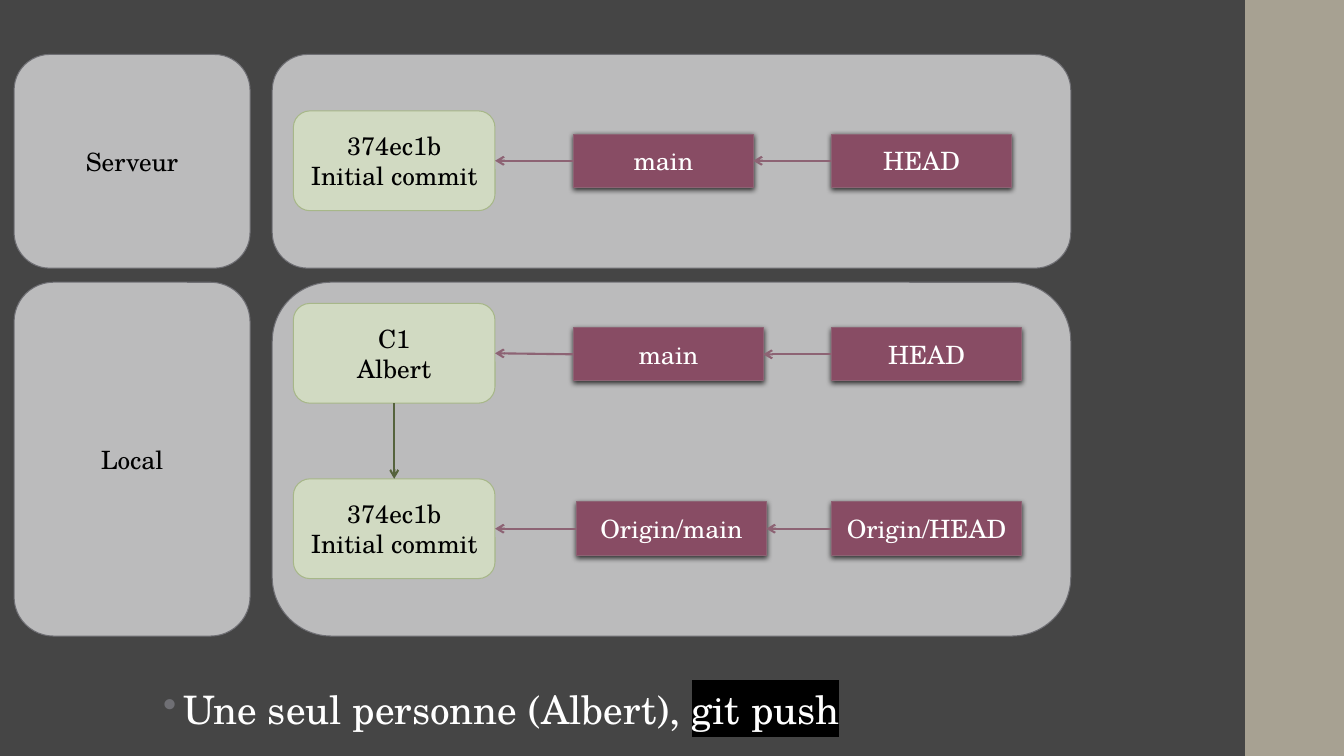
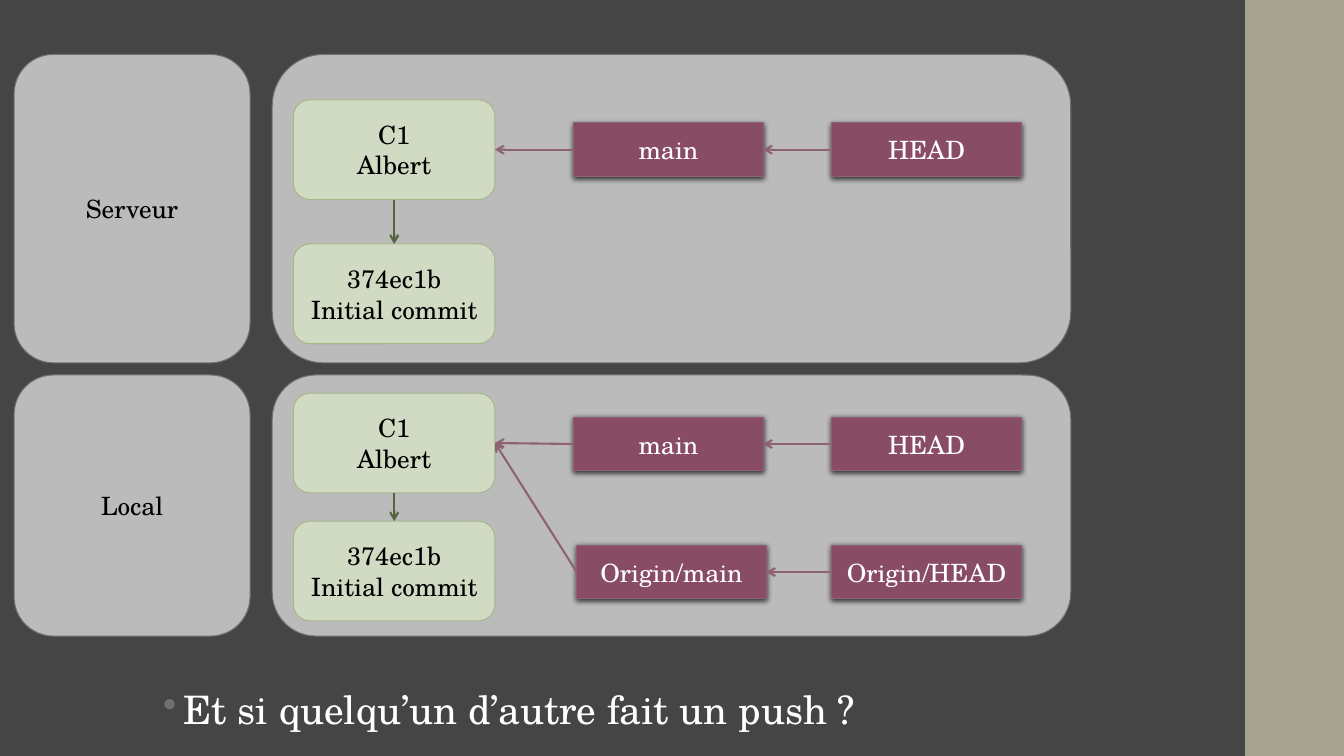
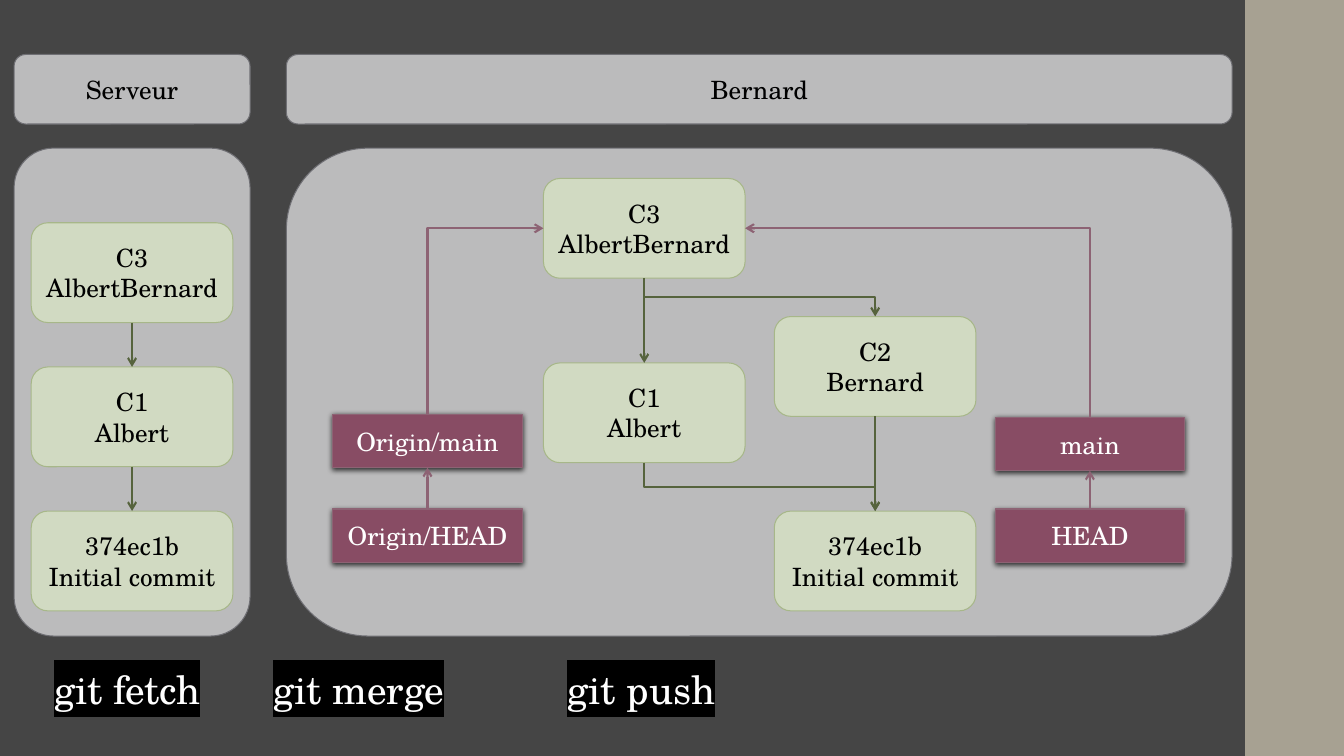
from lxml.etree import SubElement
from pptx import Presentation
from pptx.dml.color import RGBColor
from pptx.enum.shapes import MSO_CONNECTOR, MSO_SHAPE
from pptx.enum.text import MSO_ANCHOR, PP_ALIGN
from pptx.oxml import parse_xml
from pptx.oxml.ns import nsdecls, qn
from pptx.util import Inches, Pt

FONT = "TeX Gyre Schola"
BACKGROUND, BAND = "454545", "A7A192"
PANEL, PANEL_EDGE = "BBBBBC", "6F6F74"
COMMIT, COMMIT_EDGE, COMMIT_ARROW = "D1DAC2", "A7B789", "56633D"
REFERENCE, REFERENCE_EDGE = "884C64", "8D6374"
BLACK, WHITE = "000000", "FFFFFF"

TOP, LEFT, RIGHT, BOTTOM = 0, 1, 2, 3
TOP, LEFT, BOTTOM, RIGHT = range(4)  # connection sites, counter-clockwise

INITIAL = ["374ec1b", "Initial commit"]
C1 = ["C1", "Albert"]
C2 = ["C2", "Bernard"]
C3 = ["C3", "AlbertBernard"]
SERVER = "Serveur"

SIDE_LEFT, SIDE_WIDTH = 0.14, 2.34
PANEL_TOP, PANEL_BOTTOM = 0.54, 6.31
COMMIT_WIDTH, COMMIT_HEIGHT = 2, 0.99
REFERENCE_WIDTH, REFERENCE_HEIGHT = 1.88, 0.53
MAIN_LEFT, ORIGIN_LEFT, HEAD_LEFT = 5.69, 5.72, 8.25


def color(value):
    return RGBColor.from_string(value)


def side_point(shape, side):
    """Middle of one side of a shape."""
    across = {LEFT: 0, RIGHT: 2}.get(side, 1)
    down = {TOP: 0, BOTTOM: 2}.get(side, 1)
    return (shape.left + shape.width * across // 2,
            shape.top + shape.height * down // 2)


class Deck:
    def __init__(self):
        self.presentation = Presentation()
        self.presentation.slide_width = Inches(13.33)
        self.presentation.slide_height = Inches(7.5)
        self.slide = None

    def new_slide(self):
        layout = self.presentation.slide_layouts[6]
        self.slide = self.presentation.slides.add_slide(layout)
        fill = self.slide.background.fill
        fill.solid()
        fill.fore_color.rgb = color(BACKGROUND)
        self.box(MSO_SHAPE.RECTANGLE, (12.35, 0, 0.98, 7.5), BAND)

    # Text
    def add_run(self, paragraph, text, size, ink, highlight=None):
        run = paragraph.add_run()
        run.text = text
        run.font.size = Pt(size)
        run.font.name = FONT
        run.font.color.rgb = color(ink)
        if highlight:
            fill = run.font._element.find(qn("a:solidFill"))
            fill.addnext(parse_xml(
                f'<a:highlight {nsdecls("a")}>'
                f'<a:srgbClr val="{highlight}"/></a:highlight>'))

    def caption(self, left, top, width, runs, indent=0.3, bullet=False):
        """Large text; runs are (text, highlighted) pairs."""
        shape = self.slide.shapes.add_textbox(
            Inches(left), Inches(top), Inches(width), Inches(0.7))
        shape.text_frame.word_wrap = True
        paragraph = shape.text_frame.paragraphs[0]
        paragraph.line_spacing = 0.9
        paragraph.space_before = paragraph.space_after = Pt(3)
        properties = paragraph._p.get_or_add_pPr()
        properties.set("marL", str(Inches(indent)))
        properties.set("indent", str(Inches(-0.2 if bullet else 0)))
        if bullet:
            bullet_color = SubElement(properties, qn("a:buClr"))
            SubElement(bullet_color, qn("a:srgbClr"), val=PANEL_EDGE)
            SubElement(properties, qn("a:buChar"), char="•")
        for text, highlighted in runs:
            self.add_run(paragraph, text, 28, WHITE,
                         BLACK if highlighted else None)

    # Boxes
    def box(self, kind, place, fill, edge=None, lines=(), ink=BLACK):
        shape = self.slide.shapes.add_shape(kind, *map(Inches, place))
        shape.shadow.inherit = False
        shape.fill.solid()
        shape.fill.fore_color.rgb = color(fill)
        if edge:
            shape.line.color.rgb = color(edge)
            shape.line.width = Pt(0.75)
        else:
            shape.line.fill.background()
        frame = shape.text_frame
        frame.vertical_anchor = MSO_ANCHOR.MIDDLE
        for index, line in enumerate(lines):
            paragraph = frame.add_paragraph() if index else frame.paragraphs[0]
            paragraph.alignment = PP_ALIGN.CENTER
            self.add_run(paragraph, line, 18, ink)
        return shape

    def panel(self, left, top, width, bottom, *lines):
        return self.box(MSO_SHAPE.ROUNDED_RECTANGLE,
                        (left, top, width, bottom - top),
                        PANEL, PANEL_EDGE, lines)

    def commit(self, left, top, lines):
        return self.box(MSO_SHAPE.ROUNDED_RECTANGLE,
                        (left, top, COMMIT_WIDTH, COMMIT_HEIGHT),
                        COMMIT, COMMIT_EDGE, lines)

    def reference(self, left, top, name, width=REFERENCE_WIDTH):
        shape = self.box(MSO_SHAPE.RECTANGLE,
                         (left, top, width, REFERENCE_HEIGHT),
                         REFERENCE, REFERENCE_EDGE, [name], WHITE)
        effects = shape._element.spPr.find(qn("a:effectLst"))
        shadow = SubElement(effects, qn("a:outerShdw"), blurRad=str(Pt(4)),
                            dist=str(Pt(1.2)), dir="5400000", rotWithShape="0")
        shade = SubElement(shadow, qn("a:srgbClr"), val=BLACK)
        SubElement(shade, qn("a:alpha"), val="75000")
        return shape

    # Arrows
    def style_arrow(self, connector, ink):
        connector.line.color.rgb = color(ink)
        connector.line.width = Pt(1.5)
        SubElement(connector.line._get_or_add_ln(), qn("a:tailEnd"), type="arrow")
        SubElement(connector._element.spPr, qn("a:effectLst"))

    def arrow(self, source, source_side, target, target_side, ink):
        connector = self.slide.shapes.add_connector(
            MSO_CONNECTOR.STRAIGHT, 0, 0, 0, 0)
        connector.begin_connect(source, source_side)
        connector.end_connect(target, target_side)
        self.style_arrow(connector, ink)

    def elbow(self, source, source_side, target, target_side, ink):
        """Bent arrow that leaves vertically: a quarter-turned connector."""
        x1, y1 = side_point(source, source_side)
        x2, y2 = side_point(target, target_side)
        middle_x, middle_y = (x1 + x2) // 2, (y1 + y2) // 2
        half_x, half_y = (y1 - y2) // 2, (x2 - x1) // 2
        connector = self.slide.shapes.add_connector(
            MSO_CONNECTOR.ELBOW, middle_x - half_x, middle_y - half_y,
            middle_x + half_x, middle_y + half_y)
        connector.rotation = 270
        if target_side in (LEFT, RIGHT):
            geometry = connector._element.spPr.find(qn("a:prstGeom"))
            geometry.set("prst", "bentConnector2")
        self.style_arrow(connector, ink)

    # Groups
    def history(self, left, *commits):
        """Column of (top, lines) commits, newest first."""
        shapes = [self.commit(left, top, lines) for top, lines in commits]
        for child, parent in zip(shapes, shapes[1:]):
            self.arrow(child, BOTTOM, parent, TOP, COMMIT_ARROW)
        return shapes

    def reference_row(self, target, top, prefix="", width=REFERENCE_WIDTH):
        left = ORIGIN_LEFT if prefix else MAIN_LEFT
        main = self.reference(left, top, prefix + "main", width)
        head = self.reference(HEAD_LEFT, top, prefix + "HEAD", width)
        self.arrow(main, LEFT, target, RIGHT, REFERENCE_EDGE)
        self.arrow(head, LEFT, main, RIGHT, REFERENCE_EDGE)

    def reference_column(self, left, main_top, target, target_side, prefix=""):
        main = self.reference(left, main_top, prefix + "main")
        head = self.reference(left, 5.05, prefix + "HEAD")
        self.arrow(head, TOP, main, BOTTOM, REFERENCE_EDGE)
        self.elbow(main, TOP, target, target_side, REFERENCE_EDGE)

    def two_places(self, server_bottom, local_top):
        """Server above, local below: a name and an area for each."""
        for name, top, bottom in ((SERVER, PANEL_TOP, server_bottom),
                                  ("Local", local_top, PANEL_BOTTOM)):
            self.panel(SIDE_LEFT, top, SIDE_WIDTH, bottom, name)
            self.panel(2.7, top, 7.92, bottom)


def before_push(deck):
    deck.new_slide()
    deck.two_places(2.66, 2.8)
    [server_commit] = deck.history(2.91, (1.1, INITIAL))
    deck.reference_row(server_commit, 1.33, width=1.78)
    newest, initial = deck.history(2.91, (3.01, C1), (4.75, INITIAL))
    deck.reference_row(newest, 3.25)
    deck.reference_row(initial, 4.98, "Origin/")
    deck.caption(1.22, 6.8, 9.4, [("Une seul personne (Albert), ", False),
                                  ("git push", True)], 0.5, True)


def after_push(deck):
    deck.new_slide()
    deck.two_places(3.6, 3.72)
    server_newest, _ = deck.history(2.91, (0.99, C1), (2.42, INITIAL))
    deck.reference_row(server_newest, 1.22)
    newest, _ = deck.history(2.91, (3.9, C1), (5.17, INITIAL))
    deck.reference_row(newest, 4.14)
    deck.reference_row(newest, 5.41, "Origin/")
    deck.caption(1.22, 6.8, 9.4,
                 [("Et si quelqu’un d’autre fait un push ?", False)], 0.5, True)


def merge(deck):
    deck.new_slide()
    for name, left, width in ((SERVER, SIDE_LEFT, SIDE_WIDTH),
                              ("Bernard", 2.84, 9.38)):
        deck.panel(left, PANEL_TOP, width, 1.23, name)
        deck.panel(left, 1.47, width, PANEL_BOTTOM)
    deck.history(0.31, (2.21, C3), (3.64, C1), (5.07, INITIAL))
    merged, albert = deck.history(5.39, (1.77, C3), (3.6, C1))
    bernard, initial = deck.history(7.68, (3.14, C2), (5.07, INITIAL))
    deck.elbow(merged, BOTTOM, bernard, TOP, COMMIT_ARROW)
    deck.elbow(albert, BOTTOM, initial, TOP, COMMIT_ARROW)
    deck.reference_column(3.3, 4.11, merged, LEFT, "Origin/")
    deck.reference_column(9.87, 4.14, merged, RIGHT)
    for left, command in ((0.14, "fetch"), (2.31, "merge"), (5.23, "push")):
        deck.caption(left, 6.6, 2.34, [("git " + command, True)])


def main():
    deck = Deck()
    before_push(deck)
    after_push(deck)
    merge(deck)
    deck.presentation.save("out.pptx")


if __name__ == "__main__":
    main()
